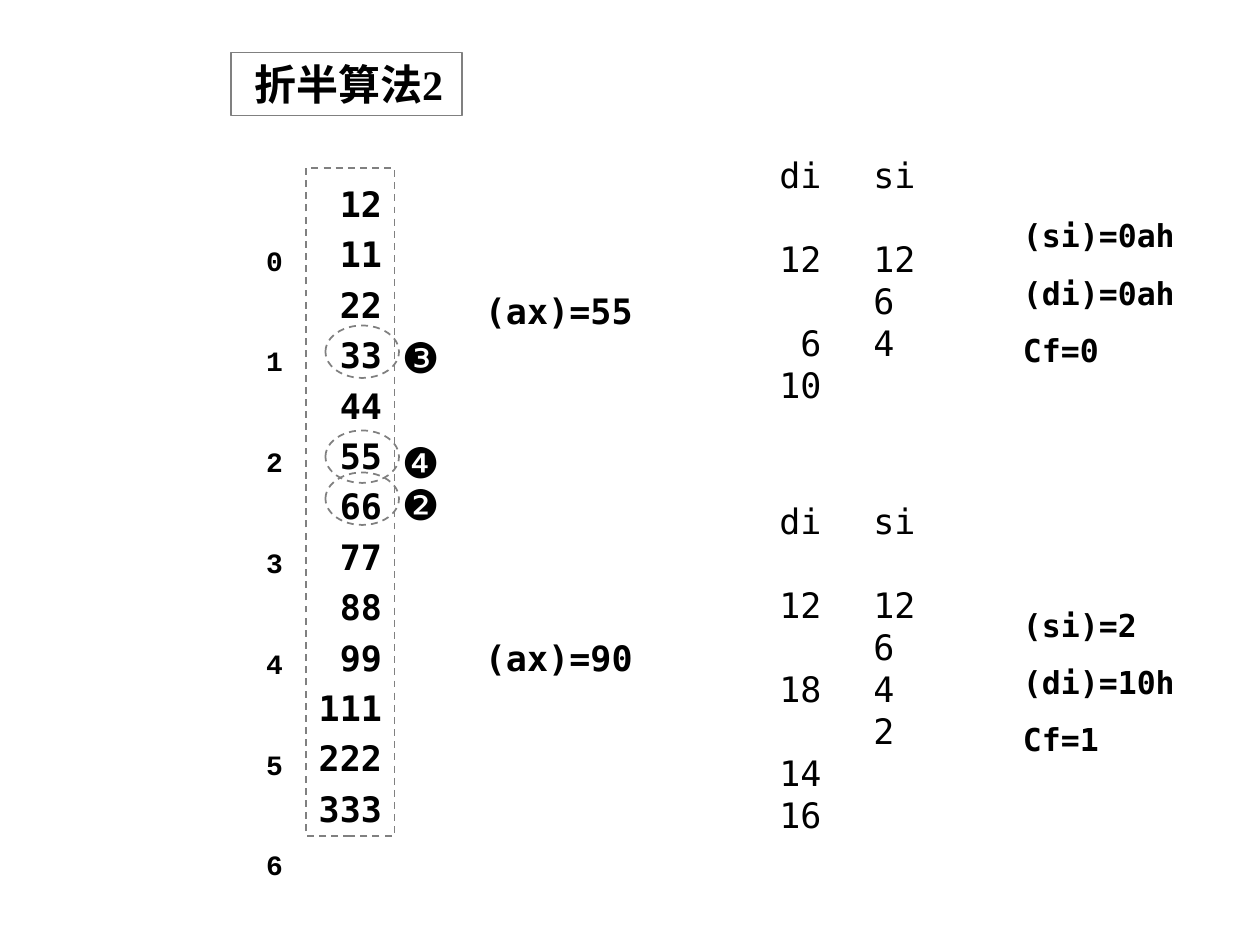
from dataclasses import dataclass

from pptx import Presentation
from pptx import util as u
from pptx.dml.color import RGBColor
from pptx.enum import dml, shapes, text

Pt = u.Pt
INK = {"text": "000000", "line": "808080"}
MONO = "DejaVu Sans Mono"
LEFT, RIGHT = text.PP_ALIGN.LEFT, text.PP_ALIGN.RIGHT


@dataclass
class Trace:
    """One search run: its input, pointer columns and result."""
    top: float
    ax: str
    di: list
    si: list
    end: list
    drop: float


@dataclass
class Mark:
    """A probed value: top of its ring and its step badge."""
    top: float
    sign: str


def write(shape, rows, size=20, font=MONO, bold=False, align=LEFT,
          pitch=None, gap=0, inset=(7.2, 7.2)):
    """Fill a shape with rows; None skips one line of the given pitch."""
    frame = shape.text_frame
    frame.word_wrap = True
    frame.auto_size = text.MSO_AUTO_SIZE.NONE
    frame.vertical_anchor = text.MSO_ANCHOR.TOP
    frame.margin_left, frame.margin_right = map(Pt, inset)
    frame.margin_top = frame.margin_bottom = Pt(3.6)
    skip, first = 0, True
    for row in rows:
        if row is None:
            skip += pitch
            continue
        para = frame.paragraphs[0] if first else frame.add_paragraph()
        para.alignment = align
        if pitch:
            para.line_spacing = Pt(pitch)
        if not first:
            para.space_before = Pt(gap + skip)
        run = para.add_run()
        run.text = row
        run.font.size, run.font.name, run.font.bold = Pt(size), font, bold
        run.font.color.rgb = RGBColor.from_string(INK["text"])
        skip, first = 0, False


def label(x, y, w, h, rows, **form):
    """Add a text box with formatted rows."""
    write(slide.shapes.add_textbox(Pt(x), Pt(y), Pt(w), Pt(h)), rows, **form)


def frame(kind, x, y, w, h, dash=True):
    """Add an unfilled grey outline."""
    box = slide.shapes.add_shape(kind, Pt(x), Pt(y), Pt(w), Pt(h))
    box.shadow.inherit = False
    box.fill.background()
    box.line.color.rgb = RGBColor.from_string(INK["line"])
    box.line.width = Pt(1)
    if dash:
        box.line.dash_style = dml.MSO_LINE.DASH
    return box


def draw(run):
    """Draw one search run."""
    label(270, run.top + 78, 120, 32, [run.ax], bold=True, pitch=24)
    label(378, run.top, 108, 24 * len(run.di) + 7.2, run.di,
          align=RIGHT, pitch=24, inset=(7.2, 16.5))
    label(492, run.top, 50, 24 * len(run.si) + 7.2, run.si, pitch=24)
    label(577.5, run.top + run.drop, 108, 95, run.end,
          size=18, bold=True, pitch=21.6, gap=11.2)


TRACES = [
    Trace(84, "(ax)=55", ["di", None, "12", None, "6", "10"],
          ["si", None, "12", "6", "4"], ["(si)=0ah", "(di)=0ah", "Cf=0"], 36),
    Trace(282, "(ax)=90", ["di", None, "12", None, "18", None, "14", "16"],
          ["si", None, "12", "6", "4", "2"],
          ["(si)=2", "(di)=10h", "Cf=1"], 60.5),
]
MARKS = [Mark(270, "❷"), Mark(186, "❸"), Mark(246, "❹")]
VALUES = [12] + list(range(11, 100, 11)) + [111, 222, 333]

deck = Presentation()
deck.slide_width, deck.slide_height = Pt(720), Pt(540)
slide = deck.slides.add_slide(deck.slide_layouts[5])

title = slide.shapes.title
title.left, title.top, title.width, title.height = map(Pt, (138, 30, 186, 36))
write(title, ["折半算法2"], size=24, font="Times New Roman", bold=True)
rect, oval = shapes.MSO_SHAPE.RECTANGLE, shapes.MSO_SHAPE.OVAL
frame(rect, 132, 30, 132, 36, dash=False)

stack = frame(rect, 175, 96, 50.4, 381.6)
write(stack, map(str, VALUES), bold=True, align=RIGHT, pitch=28.8,
      inset=(0, 7.2))
label(145, 97, 32, 411, map(str, range(7)), size=16, font="Courier New",
      bold=True, pitch=57.6)

for trace in TRACES:
    draw(trace)
for mark in MARKS:
    frame(oval, 186, mark.top, 42, 30)
    label(222.5, mark.top, 35, 36, [mark.sign], size=24, font="Arial")

deck.save("out.pptx")
